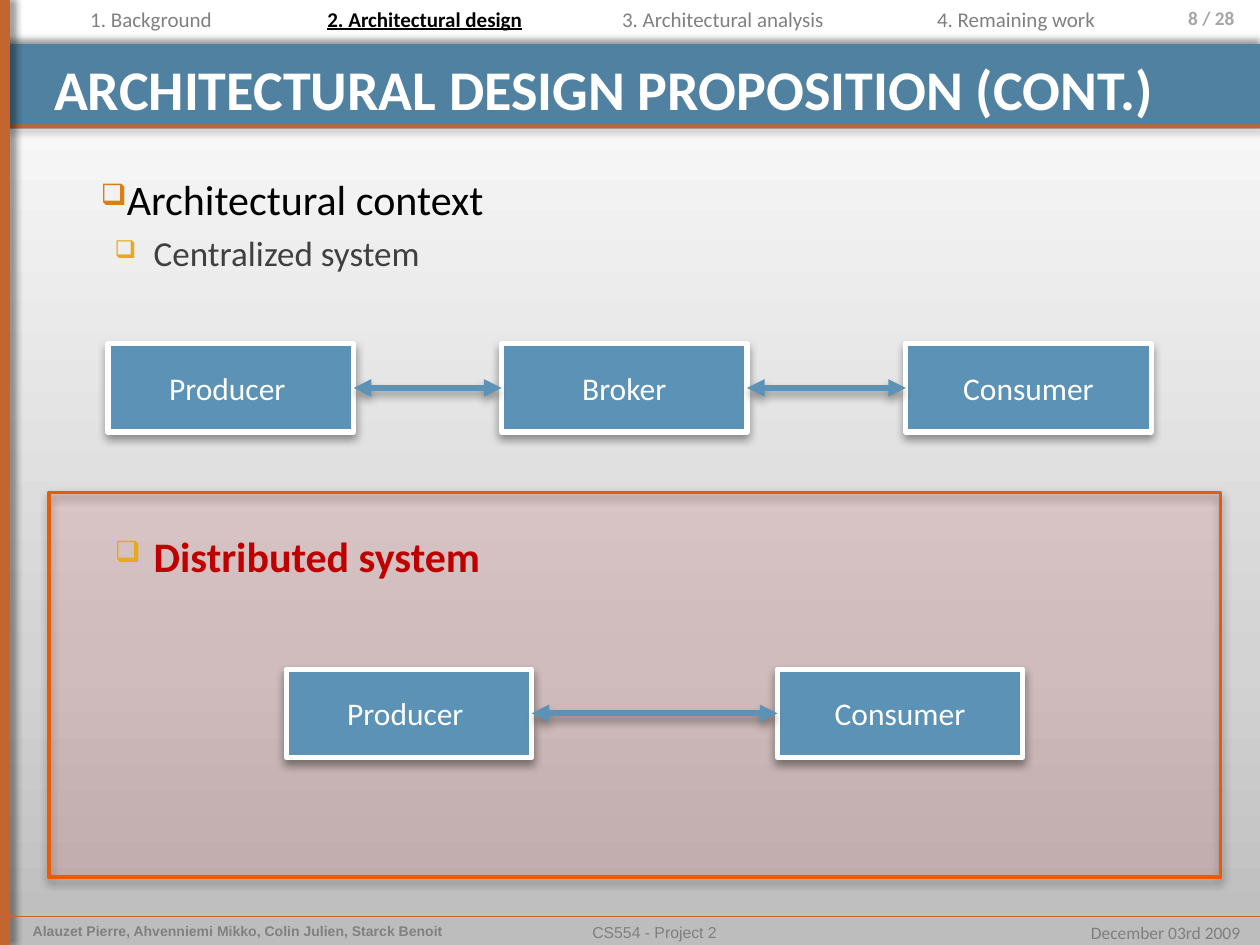
import pptx
import pptx.dml.color
import pptx.enum.shapes
import pptx.enum.text
import pptx.oxml
import pptx.oxml.ns
import pptx.util
from copy import deepcopy

Cm, Pt = pptx.util.Cm, pptx.util.Pt
RGB = pptx.dml.color.RGBColor.from_string
ALIGN = pptx.enum.text.PP_ALIGN
ANCHOR = pptx.enum.text.MSO_ANCHOR
RECTANGLE = pptx.enum.shapes.MSO_SHAPE.RECTANGLE
STRAIGHT = pptx.enum.shapes.MSO_CONNECTOR.STRAIGHT
NAMESPACE = pptx.oxml.ns.nsdecls("a")

COLORS = {
    "banner": "5181A0", "accent": "C4652D", "box": "5C92B5", "panel": "FF0000",
    "panel line": "EA5B07", "white": "FFFFFF", "black": "000000", "grey": "808080",
    "footer": "7F7F7F", "number": "A6A6A6", "dark": "404040", "red": "C00000",
    "orange": "DA7E18", "yellow": "E5AB1B",
}
BACKGROUND = [(0, "BDBDBD"), (0.3, "D3D3D3"), (1, "FFFFFF")]
WIDTH, HEIGHT = 25.4, 19.05
FOOTER_TOP = 18.47

# Bars: left, top, width, height, colour, shadow direction
BARS = [
    (0, 0.89, WIDTH, 1.7, "banner", 270),
    (0, 2.51, WIDTH, 0.08, "accent", 45),
    (0, 0, 0.2, HEIGHT, "accent", 0),
]
PANEL = (0.99, 9.93, 23.62, 7.75)

TITLE = ("ARCHITECTURAL DESIGN PROPOSITION (CONT.)", (0.84, 0.89, 23.57, 1.47))
TITLE_FONT = {"size": Pt(32), "bold": True}

NAVIGATION = [
    ("1. Background", 1.57, 3.0),
    ("2. Architectural design", 6.35, 4.52),
    ("3. Architectural analysis", 12.29, 4.65),
    ("4. Remaining work", 18.64, 3.73),
]
CURRENT = 1

# Labels: text, place, alignment, colour, font
LABELS = [
    ("8 / 28", (22.43, 0, 2.46 + 0.25, 0.99), ALIGN.RIGHT, "number",
     {"size": Pt(11), "bold": True}),
    ("Alauzet Pierre, Ahvenniemi Mikko, Colin Julien, Starck Benoit",
     (0.41, FOOTER_TOP, 9.32, 0.58), ALIGN.LEFT, "grey",
     {"size": Pt(8), "bold": True, "name": "Arial"}),
    ("CS554 - Project 2", (5.36, FOOTER_TOP, 15.67, 0.58), ALIGN.CENTER, "footer",
     {"size": Pt(9), "name": "Arial"}),
    ("December 03rd 2009", (21.67, FOOTER_TOP, 3.58, 0.69), ALIGN.RIGHT, "footer",
     {"size": Pt(10)}),
]

# Outline: text, left margin, indent, space before, bullet colour, text colour, font
BODY_PLACE = (0.79, 3.38, 24.21, 14.88)
OUTLINE = [
    ("Architectural context", 0, 0.99, 0, "orange", "black", {"size": Pt(24)}),
    ("Centralized system", 2.06, -0.79, 4, "yellow", "dark", {"size": Pt(20)}),
    ("Distributed system", 2.06, -0.79, 147, "yellow", "red",
     {"size": Pt(24), "bold": True}),
]

BOX_WIDTH, BOX_HEIGHT = 4.95, 1.78
# Chains of linked boxes: top, then name and left of each box
CHAINS = [
    (6.93, [("Producer ", 2.18), ("Broker", 10.11), ("Consumer", 18.26)]),
    (13.49, [("Producer ", 5.77), ("Consumer", 15.67)]),
]


def add_shadow(shape, direction=90, blur=5.2):
    shape._element.spPr.append(pptx.oxml.parse_xml(
        f'<a:effectLst {NAMESPACE}><a:outerShdw blurRad="{Pt(blur)}" dist="{Pt(3)}" '
        f'dir="{direction * 60000}" algn="ctr" rotWithShape="0">'
        f'<a:srgbClr val="{COLORS["black"]}"><a:alpha val="40000"/></a:srgbClr>'
        f'</a:outerShdw></a:effectLst>'))


def add_rectangle(slide, place, fill, line=None, line_width=0):
    shape = slide.shapes.add_shape(RECTANGLE, *map(Cm, place))
    shape.fill.solid()
    shape.fill.fore_color.rgb = RGB(COLORS[fill])
    if line:
        shape.line.color.rgb = RGB(COLORS[line])
        shape.line.width = Pt(line_width)
    else:
        shape.line.fill.background()
    return shape


def add_line(slide, ends, color, width):
    line = slide.shapes.add_connector(STRAIGHT, *map(Cm, ends))
    line.line.color.rgb = RGB(COLORS[color])
    line.line.width = Pt(width)
    return line


def write(paragraph, text, color, font, alignment=ALIGN.LEFT):
    paragraph.alignment = alignment
    run = paragraph.add_run()
    run.text = text
    run.font.color.rgb = RGB(COLORS[color])
    for name, value in {"name": "Calibri", **font}.items():
        setattr(run.font, name, value)


def add_text(slide, place, text, color, font, alignment=ALIGN.LEFT, wrap=False):
    frame = slide.shapes.add_textbox(*map(Cm, place)).text_frame
    frame.word_wrap = wrap
    write(frame.paragraphs[0], text, color, font, alignment)
    return frame


def add_background(slide):
    fill = slide.background.fill
    fill.gradient()
    fill.gradient_angle = 90
    stop_list = slide._element.xpath(".//a:gsLst")[0]
    stop_list.insert(1, deepcopy(stop_list[0]))
    for stop, (position, color) in zip(fill.gradient_stops, BACKGROUND):
        stop.position = position
        stop.color.rgb = RGB(color)


def add_outline(slide):
    frame = slide.shapes.add_textbox(*map(Cm, BODY_PLACE)).text_frame
    frame.word_wrap = True
    for index, (text, margin, indent, space, bullet, color, font) in enumerate(OUTLINE):
        paragraph = frame.add_paragraph() if index else frame.paragraphs[0]
        write(paragraph, text, color, font)
        paragraph.space_before = Pt(space)
        properties = paragraph._p.get_or_add_pPr()
        properties.set("marL", str(Cm(margin)))
        properties.set("indent", str(Cm(indent)))
        for tag in (f'buClr {NAMESPACE}><a:srgbClr val="{COLORS[bullet]}"/></a:buClr',
                    f'buSzPct {NAMESPACE} val="70000"/',
                    f'buChar {NAMESPACE} char="❑"/'):
            properties.append(pptx.oxml.parse_xml(f"<a:{tag}>"))


def add_chain(slide, top, members):
    boxes = []
    for name, left in members:
        box = add_rectangle(slide, (left, top, BOX_WIDTH, BOX_HEIGHT), "box", "white", 3)
        add_shadow(box)
        box.text_frame.vertical_anchor = ANCHOR.MIDDLE
        write(box.text_frame.paragraphs[0], name, "white", {"size": Pt(18)}, ALIGN.CENTER)
        boxes.append(box)
    for start, end in zip(boxes, boxes[1:]):
        arrow = add_line(slide, (0, 0, 0, 0), "box", 3.35)
        arrow.begin_connect(start, 3)
        arrow.end_connect(end, 1)
        for tag in ("headEnd", "tailEnd"):
            arrow.line._get_or_add_ln().append(
                pptx.oxml.parse_xml(f'<a:{tag} {NAMESPACE} type="triangle"/>'))
        add_shadow(arrow)


def main():
    presentation = pptx.Presentation()
    presentation.slide_width, presentation.slide_height = Cm(WIDTH), Cm(HEIGHT)
    slide = presentation.slides.add_slide(presentation.slide_layouts[6])
    add_background(slide)

    for *place, color, direction in BARS:
        add_shadow(add_rectangle(slide, place, color), direction, 4)
    for text, place, alignment, color, font in LABELS:
        add_text(slide, place, text, color, font, alignment)
    footer_line = add_line(slide, (0.2, FOOTER_TOP, WIDTH, FOOTER_TOP), "accent", 0.25)
    add_shadow(footer_line, 45, 4)

    panel = add_rectangle(slide, PANEL, "panel", "panel line", 2)
    panel_color = panel._element.spPr.xpath("./a:solidFill/a:srgbClr")[0]
    panel_color.append(pptx.oxml.parse_xml(f'<a:alpha {NAMESPACE} val="8000"/>'))
    add_shadow(panel)

    title, place = TITLE
    add_text(slide, place, title, "white", TITLE_FONT, wrap=True).margin_top = Cm(0.2)
    add_outline(slide)
    for top, members in CHAINS:
        add_chain(slide, top, members)

    for index, (text, left, width) in enumerate(NAVIGATION):
        current = index == CURRENT
        font = {"size": Pt(12), "bold": current, "underline": current}
        add_text(slide, (left, 0, width, 0.76), text, "black" if current else "grey", font)

    presentation.save("out.pptx")


if __name__ == "__main__":
    main()
